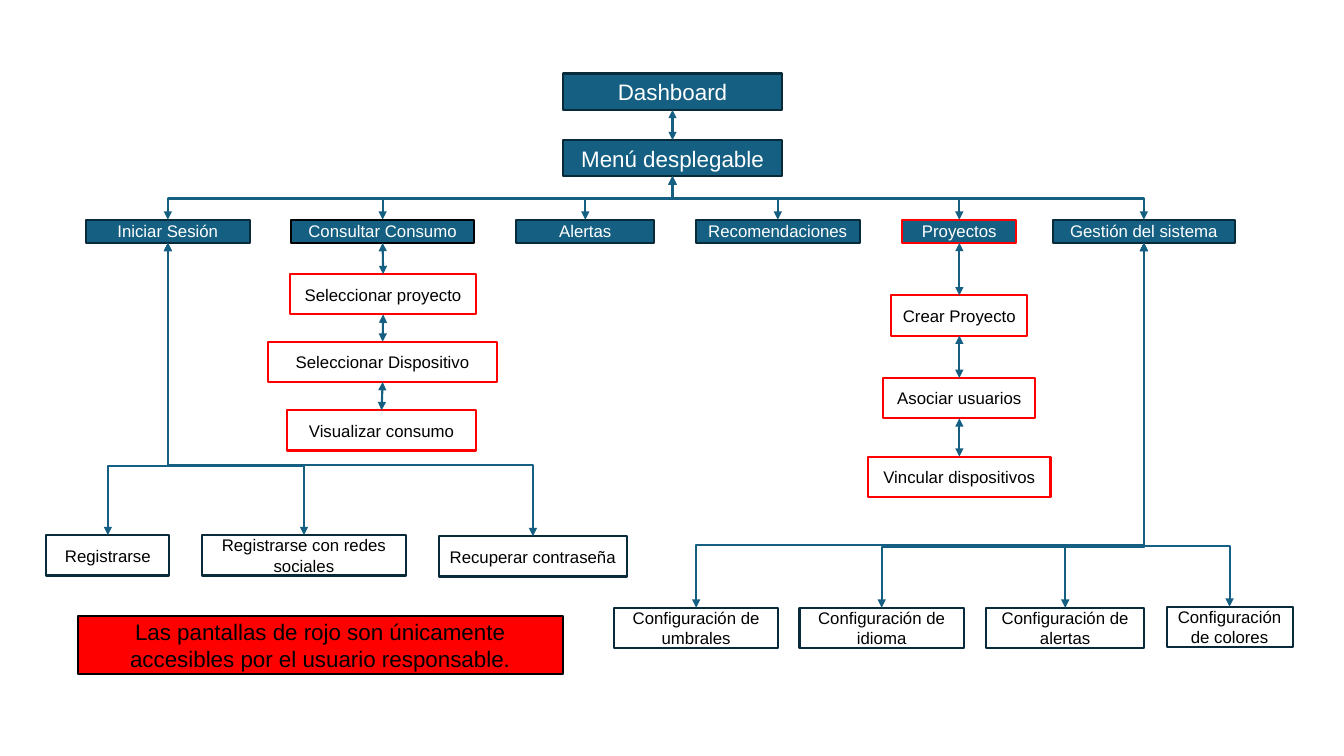
from lxml import etree
from pptx import Presentation
from pptx.dml.color import RGBColor
from pptx.enum.shapes import MSO_CONNECTOR, MSO_SHAPE
from pptx.enum.text import MSO_ANCHOR, PP_ALIGN
from pptx.oxml.ns import qn
from pptx.util import Inches, Pt

RECT = MSO_SHAPE.RECTANGLE
STRAIGHT, ELBOW = MSO_CONNECTOR.STRAIGHT, MSO_CONNECTOR.ELBOW
MIDDLE, CENTER = MSO_ANCHOR.MIDDLE, PP_ALIGN.CENTER
BLUE = RGBColor(0x15, 0x60, 0x82)
NAVY = RGBColor(0x09, 0x2A, 0x39)
RED = RGBColor(0xFF, 0x00, 0x00)
BLACK = RGBColor(0x00, 0x00, 0x00)
WHITE = RGBColor(0xFF, 0xFF, 0xFF)
BOTTOM_SITE, TOP_SITE = 2, 0

prs = Presentation()
prs.slide_width, prs.slide_height = Inches(13.33), Inches(7.5)
slide = prs.slides.add_slide(prs.slide_layouts[6])


def screen(text, left, top, width, height=0.4, fill=WHITE, border=NAVY,
           color=BLACK, size=12):
    """Draw one labelled screen of the site map."""
    box = slide.shapes.add_shape(RECT, Inches(left), Inches(top),
                                 Inches(width), Inches(height))
    box.shadow.inherit = False
    box.fill.solid()
    box.fill.fore_color.rgb = fill
    box.line.color.rgb = border
    box.line.width = Pt(1.5)
    frame = box.text_frame
    frame.word_wrap = True
    frame.vertical_anchor = MIDDLE
    paragraph = frame.paragraphs[0]
    paragraph.alignment = CENTER
    run = paragraph.add_run()
    run.text = text
    run.font.name, run.font.size = "Arial", Pt(size)
    run.font.color.rgb = color
    return box


def link(parent, child, bar=None):
    """Join two screens, straight or by an elbow that turns at height bar."""
    x1, y1 = parent.left + parent.width // 2, parent.top + parent.height
    x2, y2 = child.left + child.width // 2, child.top
    if bar is None:
        line = slide.shapes.add_connector(STRAIGHT, x1, y1, x2, y2)
        line.begin_connect(parent, BOTTOM_SITE)
        line.end_connect(child, TOP_SITE)
    else:
        # A quarter turn about the centre makes the elbow leave downwards
        mid_x, mid_y = (x1 + x2) // 2, (y1 + y2) // 2
        half_w, half_h = (y2 - y1) // 2, abs(x2 - x1) // 2
        side = 1 if x2 > x1 else -1
        line = slide.shapes.add_connector(
            ELBOW, mid_x + side * half_w, mid_y - half_h,
            mid_x - side * half_w, mid_y + half_h)
        properties = line._element.spPr
        properties.find(qn("a:xfrm")).set("rot", str((270 if side > 0 else 90) * 60000))
        adjustments = properties.find(qn("a:prstGeom")).find(qn("a:avLst"))
        turn = round((Inches(bar) - y1) / (y2 - y1) * 100000)
        etree.SubElement(adjustments, qn("a:gd"), name="adj1", fmla=f"val {turn}")
    line.line.color.rgb = BLUE
    line.line.width = Pt(1.5)
    outline = line.line._get_or_add_ln()
    for end in ("a:headEnd", "a:tailEnd"):
        etree.SubElement(outline, qn(end), type="triangle")
    etree.SubElement(line._element.spPr, qn("a:effectLst"))


# Top of the map
dashboard, menu = [
    screen(text, 5.58, top, 2.18, 0.36, fill=BLUE, color=WHITE, size=16)
    for text, top in (("Dashboard", 0.73), ("Menú desplegable", 1.39))]
link(dashboard, menu)

# Menu sections
sections = {}
for text, left, width, border in (
        ("Iniciar Sesión", 0.85, 1.63, NAVY),
        ("Consultar Consumo", 2.89, 1.81, BLACK),
        ("Alertas", 5.12, 1.37, NAVY),
        ("Recomendaciones", 6.9, 1.63, NAVY),
        ("Proyectos", 8.95, 1.13, RED),
        ("Gestión del sistema", 10.44, 1.81, NAVY)):
    sections[text] = screen(text, left, 2.18, width, 0.23, fill=BLUE,
                            border=border, color=WHITE)
    link(menu, sections[text], bar=1.97)

# Chains of screens for the responsible user
chains = {
    "Consultar Consumo": (
        ("Seleccionar proyecto", 2.88, 2.72, 1.84),
        ("Seleccionar Dispositivo", 2.66, 3.39, 2.27),
        ("Visualizar consumo", 2.85, 4.07, 1.87)),
    "Proyectos": (
        ("Crear Proyecto", 8.84, 2.93, 1.35),
        ("Asociar usuarios", 8.76, 3.75, 1.51),
        ("Vincular dispositivos", 8.61, 4.53, 1.81)),
}
for section, steps in chains.items():
    previous = sections[section]
    for text, left, top, width in steps:
        step = screen(text, left, top, width, border=RED)
        link(previous, step)
        previous = step

# Branches: text, left, top, width, height of the turn
branches = {
    "Iniciar Sesión": (
        ("Registrarse", 0.46, 5.31, 1.22, 4.62),
        ("Registrarse con redes sociales", 2, 5.31, 2.03, 4.62),
        ("Recuperar contraseña", 4.35, 5.32, 1.87, 4.61)),
    "Gestión del sistema": (
        ("Configuración de umbrales", 6.09, 6.03, 1.63, 5.41),
        ("Configuración de idioma", 7.93, 6.03, 1.63, 5.43),
        ("Configuración de alertas", 9.78, 6.03, 1.57, 5.43),
        ("Configuración de colores", 11.57, 6.02, 1.25, 5.42)),
}
for section, options in branches.items():
    for text, left, top, width, bar in options:
        link(sections[section], screen(text, left, top, width), bar=bar)

# Legend
screen("Las pantallas de rojo son únicamente accesibles por el usuario responsable.",
       0.77, 6.11, 4.81, 0.58, fill=RED, border=BLACK, size=16)

prs.save("out.pptx")
